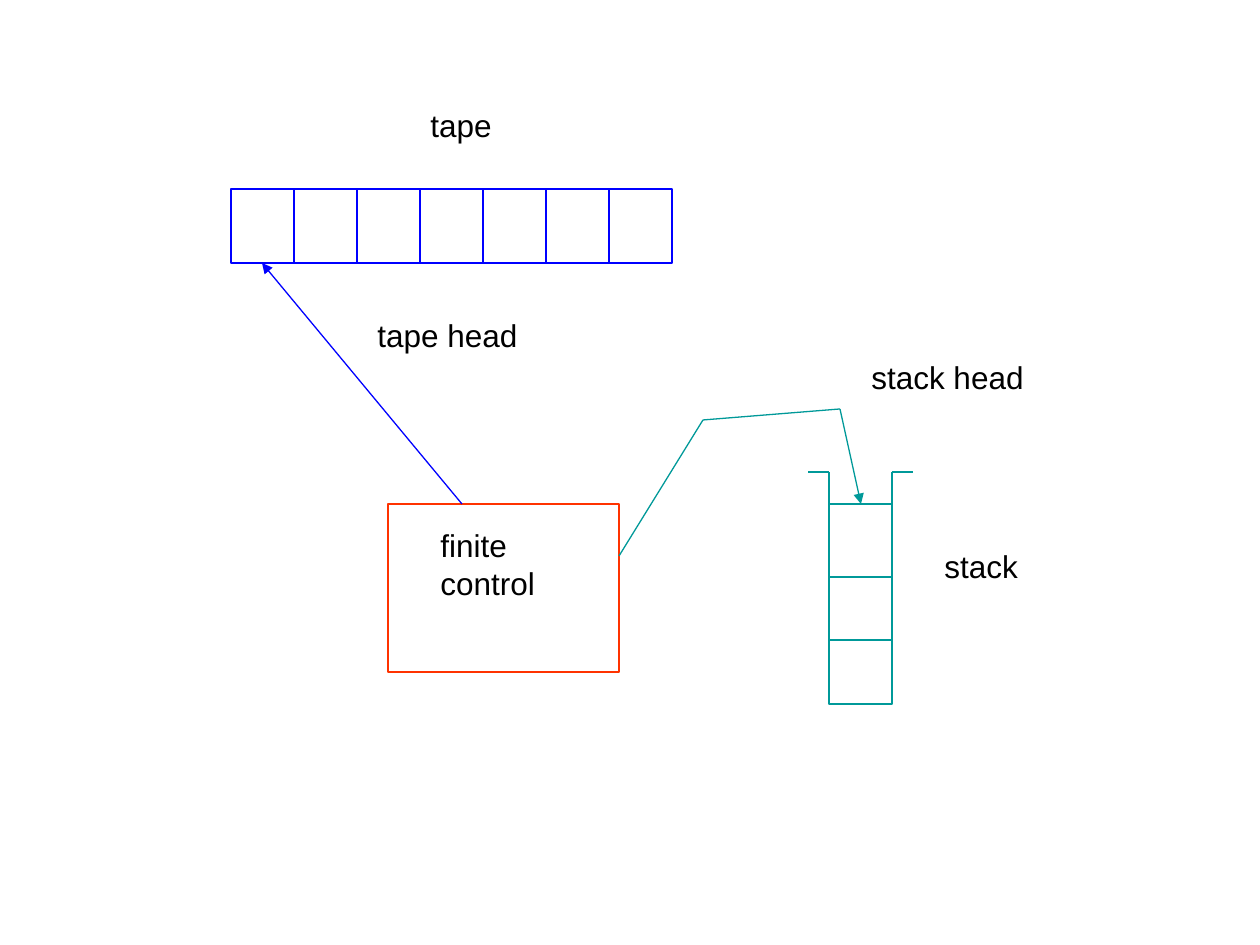
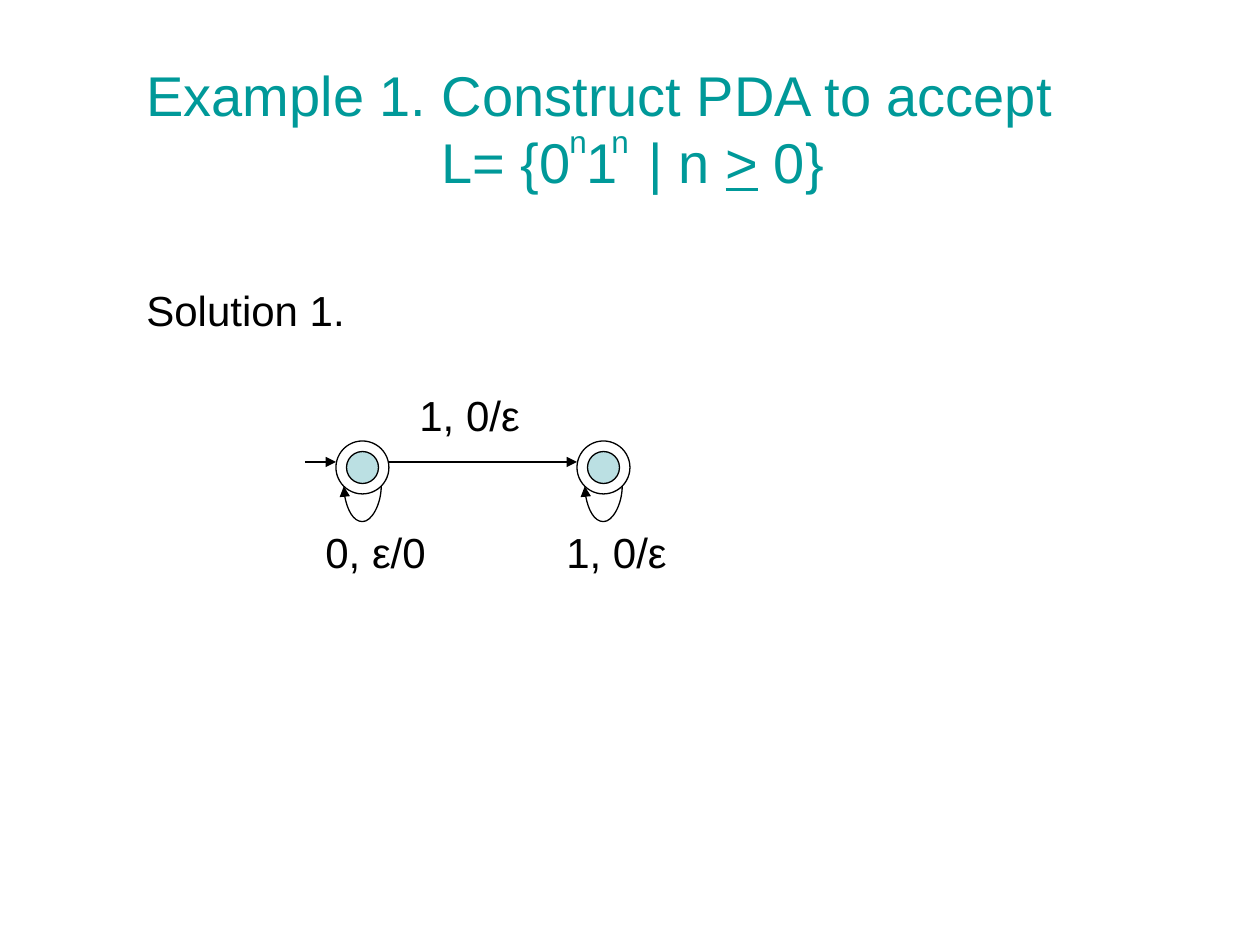
"""Builds two slides on pushdown automata: the machine model and a worked example."""
import pptx
import pptx.util
import pptx.dml.color
import pptx.enum.shapes
import pptx.enum.text
import pptx.oxml.ns
import lxml.etree

PIXEL = 914400 / 126
COLOURS = {"ink": "000000", "tape": "0000FF", "control": "FF3300", "stack": "009999", "state": "BBE0E3"}
SHAPES = pptx.enum.shapes.MSO_SHAPE
CONNECTORS = pptx.enum.shapes.MSO_CONNECTOR


def emu(pixels):
    return pptx.util.Emu(round(pixels * PIXEL))


def rgb(name):
    return pptx.dml.color.RGBColor.from_string(COLOURS[name])


def add_xml(parent, tag, **attributes):
    return lxml.etree.SubElement(parent, pptx.oxml.ns.qn(tag), attributes)


class Sketch:
    def __init__(self, deck):
        self.deck = deck
        self.page = None
        self.font = "Arial"
        self.line_width = pptx.util.Pt(0.75)

    def new_page(self):
        self.page = self.deck.slides.add_slide(self.deck.slide_layouts[6])

    def shape(self, kind, left, top, width, height, line, fill=None):
        shape = self.page.shapes.add_shape(kind, emu(left), emu(top), emu(width), emu(height))
        shape.shadow.inherit = False
        if fill:
            shape.fill.solid()
            shape.fill.fore_color.rgb = rgb(fill)
        else:
            shape.fill.background()
        shape.line.color.rgb = rgb(line)
        shape.line.width = self.line_width
        return shape

    def line(self, start, end, colour, arrow=False, kind=CONNECTORS.STRAIGHT):
        line = self.page.shapes.add_connector(kind, *map(emu, start + end))
        line.line.color.rgb = rgb(colour)
        line.line.width = self.line_width
        if arrow:
            add_xml(line.line._get_or_add_ln(), "a:tailEnd", type="triangle")
        add_xml(line._element.spPr, "a:effectLst")
        return line

    def polyline(self, points, colour, arrow=False):
        for index, (start, end) in enumerate(zip(points, points[1:]), 2):
            self.line(start, end, colour, arrow and index == len(points))

    def text(self, left, top, width, height, lines, size=18, colour="ink", wrap=False):
        box = self.page.shapes.add_textbox(emu(left), emu(top), emu(width), emu(height))
        frame = box.text_frame
        frame.word_wrap = wrap
        frame.auto_size = pptx.enum.text.MSO_AUTO_SIZE.SHAPE_TO_FIT_TEXT
        frame.text = lines
        for para in frame.paragraphs:
            for span in para.runs:
                self.style(span, size, colour)
        return box

    def style(self, span, size, colour):
        span.font.name = self.font
        span.font.size = pptx.util.Pt(size)
        span.font.color.rgb = rgb(colour)

    def loop(self, state):
        """Draws a curved arrow below a state, from its lower right to its lower left."""
        span, drop, depth = state.width * 0.707, 1588, 179
        middle = state.left + state.width / 2
        level = state.top + state.height / 2 + span / 2
        curve = self.line((0, 0), (1, 1), "ink", True, CONNECTORS.CURVE)
        curve.rotation = 90
        curve.left, curve.top = round(middle - drop / 2), round(level - span / 2)
        curve.width, curve.height = drop, round(span)
        guides = curve._element.spPr.find(".//" + pptx.oxml.ns.qn("a:avLst"))
        add_xml(guides, "a:gd", name="adj1", fmla=f"val {depth * 100000}")
        links = curve._element.find(".//" + pptx.oxml.ns.qn("p:cNvCxnSpPr"))
        for tag, site in (("a:stCxn", "5"), ("a:endCxn", "3")):
            add_xml(links, tag, id=str(state.shape_id), idx=site)

    def state(self, left, top):
        outer = self.shape(SHAPES.OVAL, left, top, 53, 53, "ink")
        self.loop(outer)
        self.shape(SHAPES.OVAL, left + 10.5, top + 10.5, 32, 32, "ink", "state")


def draw_machine(sketch):
    sketch.new_page()
    left, top, bottom, cell = 231, 189, 263, 63
    sketch.shape(SHAPES.RECTANGLE, left, top, 7 * cell, bottom - top, "tape")
    for index in range(1, 7):
        edge = left + index * cell
        sketch.line((edge, top), (edge, bottom), "tape")
    sketch.shape(SHAPES.RECTANGLE, 388, 504, 231, 168, "control")
    sketch.line((462, 504), (262, bottom), "tape", arrow=True)

    left, right, top, rim = 829, 892, 504, 472
    sketch.shape(SHAPES.RECTANGLE, left, top, right - left, 200, "stack")
    for level in (577, 640):
        sketch.line((left, level), (right, level), "stack")
    for side, lip in ((left, -21), (right, 21)):
        sketch.polyline([(side, top), (side, rim), (side + lip, rim)], "stack")
    sketch.polyline([(619, 556), (703, 420), (840, 409), (861, top)], "stack", arrow=True)

    for left, top, width, height, words in (
        (932, 541, 101, 50, "stack"),
        (859, 352, 179, 50, "stack head"),
        (428, 520, 121, 88, "finite\ncontrol"),
        (365, 310, 166, 50, "tape head"),
        (418, 100, 88, 50, "tape"),
    ):
        sketch.text(left, top, width, height, words)


def draw_example(sketch):
    sketch.new_page()
    title = sketch.text(134, 54, 949, 147, "Example 1. Construct PDA to accept\nL= {0 1",
                        32, "stack", wrap=True)
    formula = title.text_frame.paragraphs[1]
    formula._p.get_or_add_pPr().set("marL", str(emu(295)))
    for words in (" ", "| n ", ">", " 0}"):
        span = formula.add_run()
        span.text = words
        sketch.style(span, 32, "stack")
        span.font.underline = words == ">"
        if words == " ":
            span.font._element.set("spc", "890")
    for left in (557, 599):
        sketch.text(left, 116, 43, 50, "n", colour="stack")
    sketch.text(134, 278, 236, 63, "Solution 1.", 24, wrap=True)

    first, second, level = 336, 577, 462
    for left in (first, second):
        sketch.state(left, 441)
    sketch.line((305, level), (first, level), "ink", arrow=True)
    sketch.line((first + 53, level), (second, level), "ink", arrow=True)
    for left, top, words in ((313, 520, "0, ε/0"), (407, 383, "1, 0/ε"), (554, 520, "1, 0/ε")):
        sketch.text(left, top, 126, 63, words, 24)


deck = pptx.Presentation()
deck.slide_width, deck.slide_height = emu(1260), emu(945)
sketch = Sketch(deck)
draw_machine(sketch)
draw_example(sketch)
deck.save("out.pptx")
